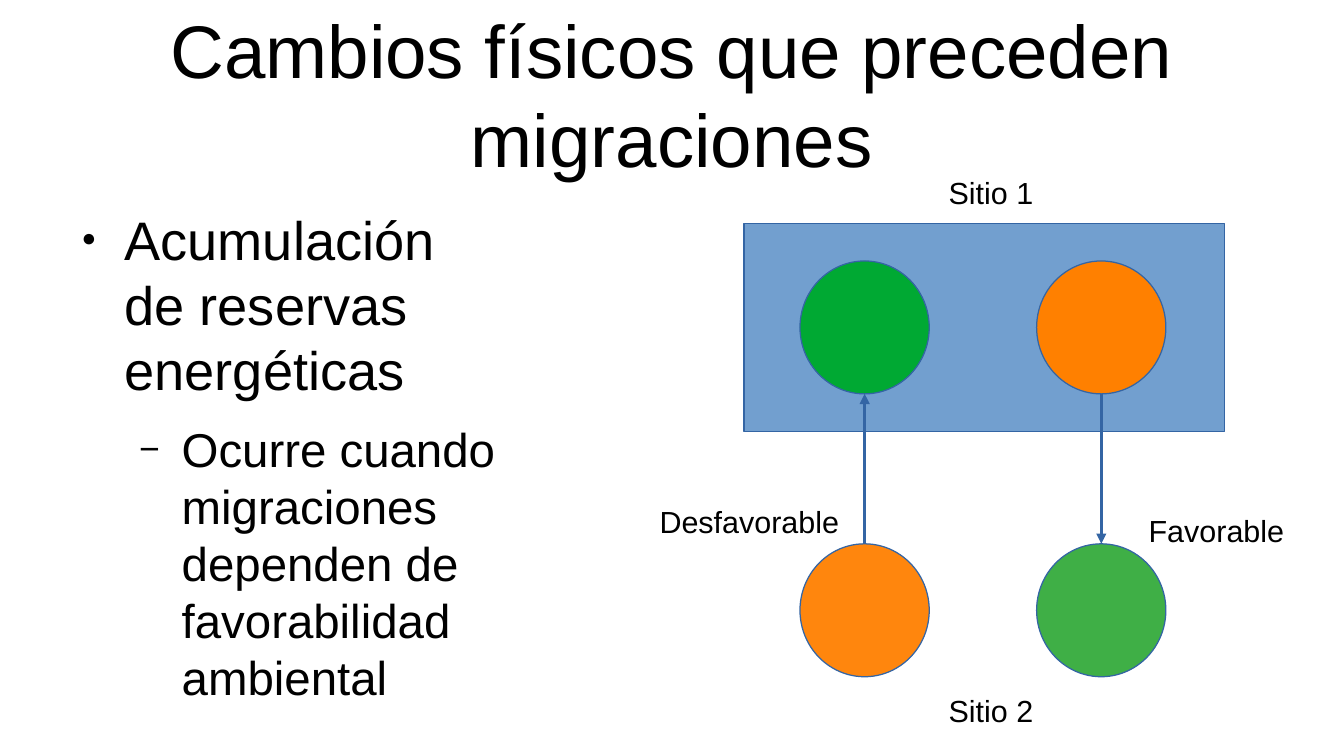
from pptx import Presentation
from pptx.dml.color import RGBColor
from pptx.enum.dml import MSO_THEME_COLOR
from pptx.enum.shapes import MSO_CONNECTOR, MSO_SHAPE
from pptx.enum.text import MSO_ANCHOR, MSO_AUTO_SIZE, PP_ALIGN
from pptx.oxml.ns import qn
from pptx.util import Inches, Pt
from lxml import etree

RECTANGLE, OVAL = MSO_SHAPE.RECTANGLE, MSO_SHAPE.OVAL
STRAIGHT = MSO_CONNECTOR.STRAIGHT
TOP, MIDDLE = MSO_ANCHOR.TOP, MSO_ANCHOR.MIDDLE
LEFT, CENTER = PP_ALIGN.LEFT, PP_ALIGN.CENTER
FIXED, GROW = MSO_AUTO_SIZE.NONE, MSO_AUTO_SIZE.SHAPE_TO_FIT_TEXT
BACKGROUND = MSO_THEME_COLOR.BACKGROUND_1

BLACK = RGBColor(0x00, 0x00, 0x00)
SITE_BLUE = RGBColor(0x72, 0x9F, 0xCF)
OUTLINE_BLUE = RGBColor(0x34, 0x65, 0xA4)
GREEN = RGBColor(0x00, 0xA9, 0x33)
ORANGE = RGBColor(0xFF, 0x80, 0x00)
LIGHT_ORANGE = RGBColor(0xFF, 0x86, 0x0D)
LIGHT_GREEN = RGBColor(0x3F, 0xAF, 0x46)


class SlideBuilder:
    """Hold the style and the current slide."""

    font_name = "Arial"

    def __init__(self, presentation):
        """Add a title and content slide."""
        self.slide = presentation.slides.add_slide(presentation.slide_layouts[1])

    def add_run(self, paragraph, text, size):
        """Add one formatted run."""
        run = paragraph.add_run()
        run.text = text
        run.font.name = self.font_name
        run.font.size = Pt(size)
        run.font.color.rgb = BLACK

    def place(self, placeholder, left, top, width, height, anchor, auto_size):
        """Move a placeholder and return its text frame without insets."""
        placeholder.left, placeholder.top = Inches(left), Inches(top)
        placeholder.width, placeholder.height = Inches(width), Inches(height)
        frame = placeholder.text_frame
        frame.margin_left = frame.margin_right = 0
        frame.margin_top = frame.margin_bottom = 0
        frame.vertical_anchor = anchor
        frame.auto_size = auto_size
        frame.word_wrap = True
        return frame

    def title(self, text, *box):
        """Fill the title placeholder."""
        frame = self.place(self.slide.shapes.title, *box, MIDDLE, GROW)
        frame.paragraphs[0].alignment = CENTER
        self.add_run(frame.paragraphs[0], text, 44)

    def body(self, items, *box):
        """Fill the body placeholder with bulleted levels."""
        frame = self.place(self.slide.placeholders[1], *box, TOP, FIXED)
        for level, (text, size, bullet, percent) in enumerate(items):
            paragraph = frame.add_paragraph() if level else frame.paragraphs[0]
            paragraph.level = level
            paragraph.alignment = LEFT
            paragraph.space_before = Pt(11.3 if level else 0)
            self.bullet(paragraph, 0.47 * (level + 1), bullet, percent)
            self.add_run(paragraph, text, size)

    def bullet(self, paragraph, indent, character, percent):
        """Give a paragraph a hanging bullet."""
        properties = paragraph._p.get_or_add_pPr()
        properties.set("marL", str(Inches(indent)))
        properties.set("indent", str(Inches(-0.35)))
        color = etree.SubElement(properties, qn("a:buClr"))
        etree.SubElement(color, qn("a:srgbClr"), val=str(BLACK))
        etree.SubElement(properties, qn("a:buSzPct"), val=str(percent * 1000))
        etree.SubElement(properties, qn("a:buFont"), typeface=self.font_name)
        etree.SubElement(properties, qn("a:buChar"), char=character)

    def shape(self, kind, fill, left, top, width, height):
        """Add a filled shape with a hairline outline."""
        shape = self.slide.shapes.add_shape(
            kind, Inches(left), Inches(top), Inches(width), Inches(height))
        shape.shadow.inherit = False
        shape.fill.solid()
        shape.fill.fore_color.rgb = fill
        shape.line.color.rgb = OUTLINE_BLUE
        shape.line.width = Pt(0)

    def arrow(self, x, start, end):
        """Add a vertical arrow."""
        connector = self.slide.shapes.add_connector(
            STRAIGHT, Inches(x), Inches(start), Inches(x), Inches(end))
        connector.line.color.rgb = OUTLINE_BLUE
        connector.line.width = Pt(0)
        etree.SubElement(connector.line._get_or_add_ln(), qn("a:tailEnd"), type="triangle")
        etree.SubElement(connector._element.spPr, qn("a:effectLst"))

    def label(self, text, left, top, width, wrap):
        """Add a one-line text label."""
        box = self.slide.shapes.add_textbox(
            Inches(left), Inches(top), Inches(width), Inches(0.38))
        box.text_frame.word_wrap = wrap
        box.text_frame.auto_size = GROW
        self.add_run(box.text_frame.paragraphs[0], text, 18)


def main():
    """Build the migration slide."""
    presentation = Presentation()
    presentation.slide_width = Inches(11.02)
    presentation.slide_height = Inches(6.2)
    builder = SlideBuilder(presentation)
    builder.slide.background.fill.solid()
    builder.slide.background.fill.fore_color.theme_color = BACKGROUND

    builder.title("Cambios físicos que preceden migraciones", 0.55, 0.08, 9.92, 1.37)
    builder.body([
        ("Acumulación de reservas energéticas", 32, "●", 45),
        ("Ocurre cuando migraciones dependen de favorabilidad ambiental", 28, "−", 75),
    ], 0.55, 1.69, 3.58, 3.6)

    builder.shape(RECTANGLE, SITE_BLUE, 6.1, 1.83, 3.94, 1.71)
    circle_width, circle_height = 1.06, 1.09
    left_column, right_column = 6.56, 8.5
    upper_row, lower_row = 2.14, 4.46
    for left, top, fill in [
        (left_column, upper_row, GREEN),
        (right_column, upper_row, ORANGE),
        (left_column, lower_row, LIGHT_ORANGE),
        (right_column, lower_row, LIGHT_GREEN),
    ]:
        builder.shape(OVAL, fill, left, top, circle_width, circle_height)

    upper_edge = upper_row + circle_height
    builder.arrow(right_column + circle_width / 2, upper_edge, lower_row)
    builder.arrow(left_column + circle_width / 2, lower_row, upper_edge)

    for text, left, top, width, wrap in [
        ("Sitio 1", 7.68, 1.38, 1.77, True),
        ("Sitio 2", 7.68, 5.63, 1.77, True),
        ("Desfavorable", 5.31, 4.08, 1.67, False),
        ("Favorable", 9.32, 4.15, 1.31, False),
    ]:
        builder.label(text, left, top, width, wrap)

    presentation.save("out.pptx")


if __name__ == "__main__":
    main()
